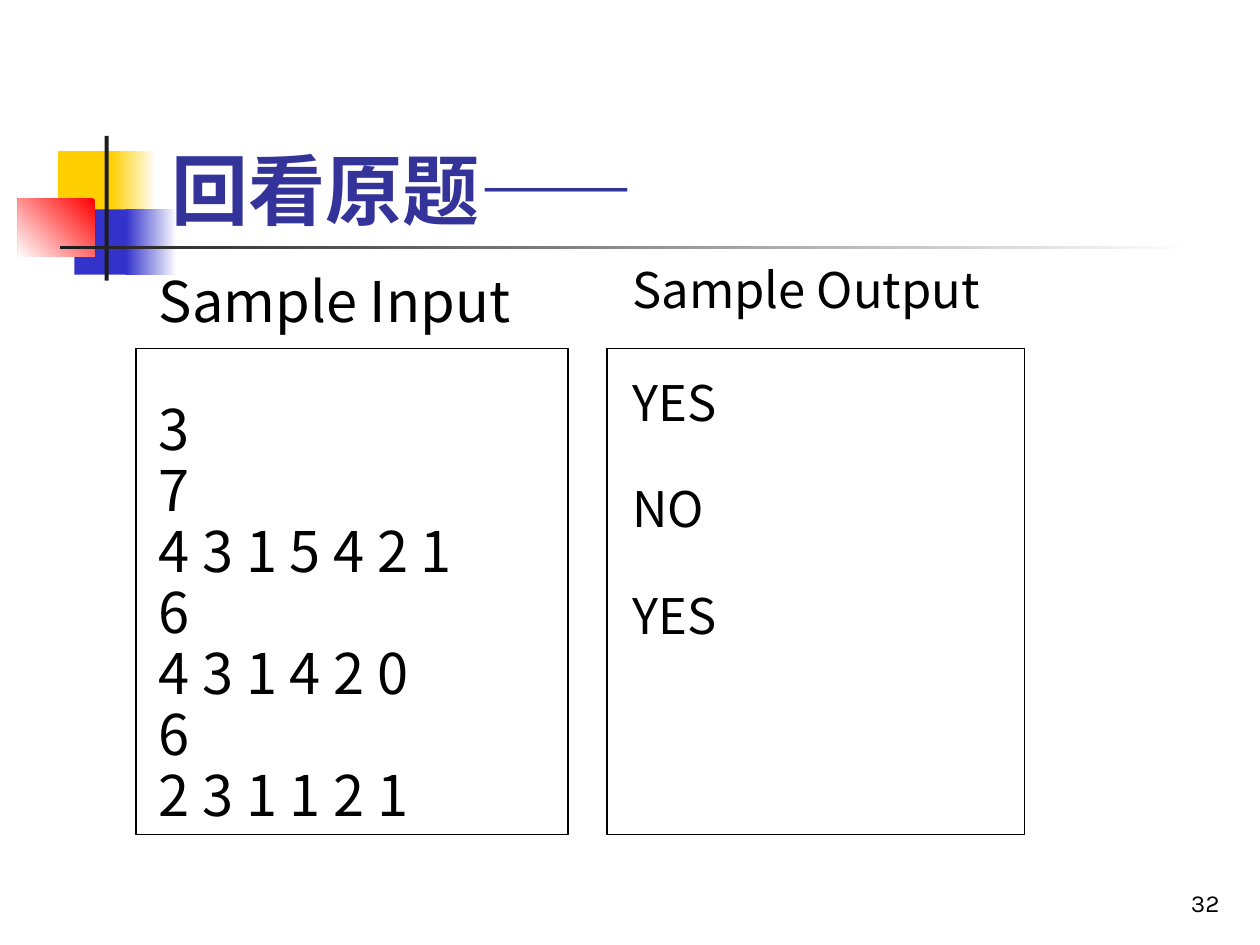
"""Build the sample input and output slide."""
from pptx import Presentation
from pptx.dml.color import RGBColor
from pptx.enum.shapes import MSO_SHAPE as Shape
from pptx.enum.text import MSO_ANCHOR as Anchor, MSO_AUTO_SIZE as AutoSize, PP_ALIGN as Align
from pptx.oxml.ns import qn
from pptx.util import Cm, Pt

COLORS = {"white": "FFFFFF", "yellow": "FFCF01", "blue": "3333CC", "red": "FF0000",
          "dark": "1C1C1C", "title": "333399", "text": "000000"}
CJK, LATIN = "Noto Sans CJK KR", "Karla"

DECOR = [
    ((1.17, 3.05, 1.22, 1.32), ["yellow"], 0),
    ((2.24, 3.05, 0.91, 1.32), ["white", "yellow"], 180),
    ((1.5, 4.22, 1.17, 1.32), ["blue"], 0),
    ((2.54, 4.22, 1.02, 1.32), ["white", "blue"], 180),
    ((0.36, 4.01, 1.55, 1.17), ["red", "white"], 225),
    ((2.11, 2.74, 0.08, 2.92), ["dark"], 0),
    ((1.22, 4.95, 22.86, 0.08), ["white", "dark"], 180),
]
FRAMES = [(2.74, 7.03, 8.71, 9.8), (12.24, 7.03, 8.41, 9.8)]
TITLE = "回看原题——"
INPUT = [("Sample Input", 6), ("3", 46.2), ("7", 8), ("4 3 1 5 4 2 1", 8), ("6", 8),
         ("4 3 1 4 2 0", 8), ("6", 8), ("2 3 1 1 2 1", 8)]
OUTPUT = [("Sample Output", 7), ("YES", 40.5), ("NO", 37.6), ("YES", 37.6)]
NUMBER = "32"


def rgb(name):
    return RGBColor.from_string(COLORS[name])


def add_rect(s, box, colors=(), angle=0):
    sp = s.shapes.add_shape(Shape.RECTANGLE, *map(Cm, box))
    sp.shadow.inherit = False
    if len(colors) == 2:
        sp.fill.gradient()
        sp.fill.gradient_angle = angle
        for stop, color in zip(sp.fill.gradient_stops, colors):
            stop.color.rgb = rgb(color)
    elif colors:
        sp.fill.solid()
        sp.fill.fore_color.rgb = rgb(colors[0])
    else:
        sp.fill.background()
    if colors:
        sp.line.fill.background()
    else:
        sp.line.color.rgb = rgb("text")
        sp.line.width = Pt(0.75)


def write(sp, box, lines, size, font=CJK, color="text", bold=False,
          align=Align.LEFT, anchor=Anchor.TOP, spacing=1.0):
    sp.left, sp.top, sp.width, sp.height = map(Cm, box)
    tf = sp.text_frame
    tf.word_wrap, tf.auto_size, tf.vertical_anchor = True, AutoSize.NONE, anchor
    for i, (text, before) in enumerate(lines):
        p = tf.add_paragraph() if i else tf.paragraphs[0]
        p.alignment, p.line_spacing, p.space_before = align, spacing, Pt(before)
        pPr = p._p.get_or_add_pPr()
        pPr.set("marL", "0")
        pPr.set("indent", "0")
        pPr.append(pPr.makeelement(qn("a:buNone"), {}))
        r = p.add_run()
        r.text = text
        r.font.name, r.font.size, r.font.bold = font, Pt(size), bold
        r.font.color.rgb = rgb(color)


def main():
    prs = Presentation()
    prs.slide_width, prs.slide_height = Cm(25.4), Cm(19.05)
    s = prs.slides.add_slide(prs.slide_layouts[1])
    for box, colors, angle in DECOR:
        add_rect(s, box, colors, angle)
    for box in FRAMES:
        add_rect(s, box)
    write(s.shapes.title, (3.2, 2.62, 16.71, 2.24), [(TITLE, 0)], 44, font=LATIN,
          color="title", bold=True, anchor=Anchor.BOTTOM)
    write(s.placeholders[1], (2.95, 5.61, 9.19, 11.3), INPUT, 32, spacing=0.7)
    write(s.shapes.add_textbox(0, 0, 0, 0), (12.5, 5.44, 9.09, 9.04), OUTPUT, 28, spacing=0.7)
    write(s.shapes.add_textbox(0, 0, 0, 0), (19.56, 17.35, 5.28, 1.27), [(NUMBER, 0)], 14,
          font=LATIN, align=Align.RIGHT, anchor=Anchor.BOTTOM)
    prs.save("out.pptx")


if __name__ == "__main__":
    main()
